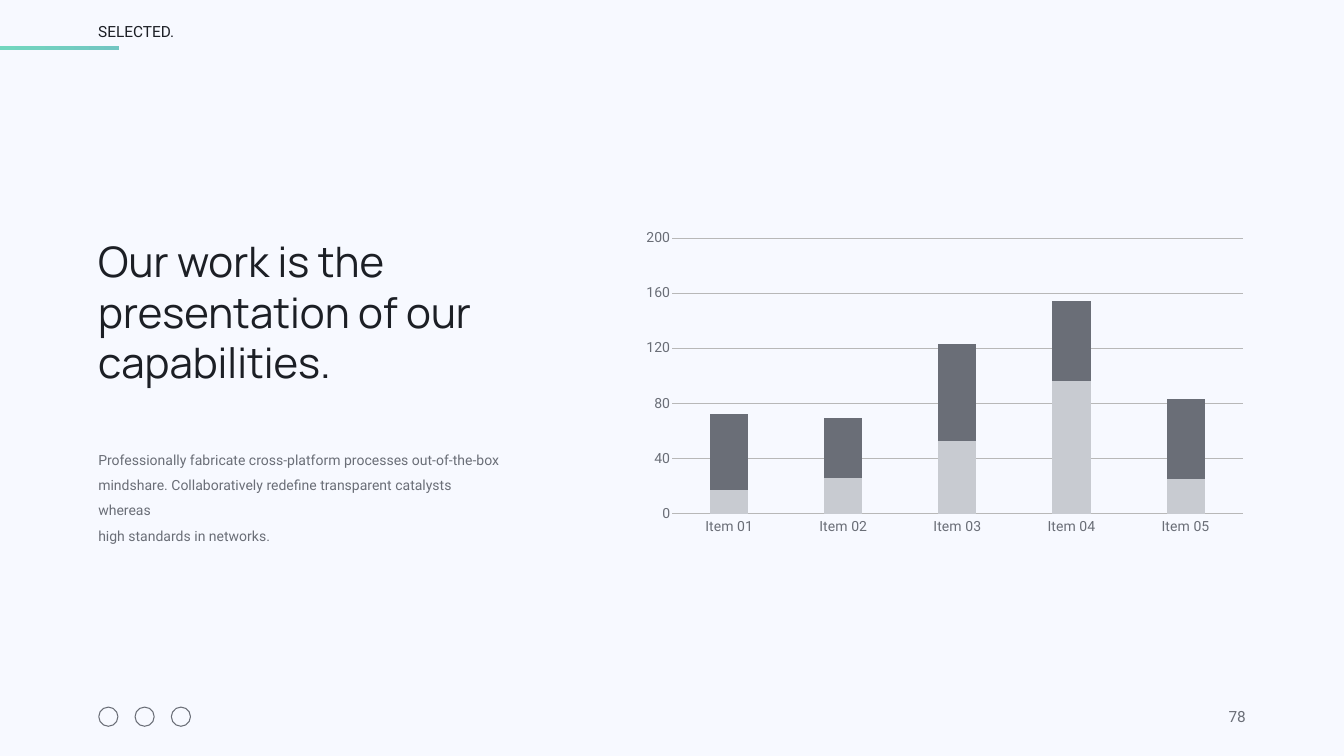
import pptx
import pptx.chart.data
import pptx.dml.color
import pptx.enum.chart
import pptx.enum.shapes
import pptx.enum.text
import pptx.oxml
import pptx.oxml.ns
import pptx.util

Inches = pptx.util.Inches
Pt = pptx.util.Pt
SHAPE = pptx.enum.shapes.MSO_SHAPE
ALIGN = pptx.enum.text.PP_ALIGN
ANCHOR = pptx.enum.text.MSO_ANCHOR

DARK, GRAY, PALE = "1C1F25", "6A6E77", "C8CBD1"
LEFT = 1.95


def color(code):
    return pptx.dml.color.RGBColor.from_string(code)


def style(font, size, code, name="Roboto"):
    font.size = Pt(size)
    font.name = name
    font.color.rgb = color(code)


def add_text(slide, box, lines, size, code, name="Roboto", align=ALIGN.LEFT,
             anchor=ANCHOR.TOP, wrap=False, inset=0, space=None):
    frame = slide.shapes.add_textbox(*map(Inches, box)).text_frame
    frame.word_wrap = wrap
    frame.vertical_anchor = anchor
    frame.margin_left = frame.margin_right = Inches(inset)
    frame.margin_top = frame.margin_bottom = Inches(inset / 2)
    frame.text = "\n".join(lines)
    for para in frame.paragraphs:
        para.alignment = align
        para.line_spacing = space
        for run in para.runs:
            style(run.font, size, code, name)


def add_bar(slide, box, start, end):
    bar = slide.shapes.add_shape(SHAPE.RECTANGLE, *map(Inches, box))
    bar.shadow.inherit = False
    bar.line.fill.background()
    bar.fill.gradient()
    bar.fill.gradient_angle = 0
    for stop, code in zip(bar.fill.gradient_stops, (start, end)):
        stop.color.rgb = color(code)


def add_ring(slide, left, top, size):
    ring = slide.shapes.add_shape(
        SHAPE.OVAL, *map(Inches, (left, top, size, size)))
    ring.shadow.inherit = False
    ring.fill.background()
    ring.line.color.rgb = color(GRAY)
    ring.line.width = Pt(1.5)


def set_plot(chart, x, y, w, h):
    parts = "".join(f'<c:{tag} val="{val}"/>' for tag, val in (
        ("layoutTarget", "inner"), ("xMode", "edge"), ("yMode", "edge"),
        ("x", x), ("y", y), ("w", w), ("h", h)))
    area = chart.plots[0]._element.getparent()
    for old in area.findall(pptx.oxml.ns.qn("c:layout")):
        area.remove(old)
    area.insert(0, pptx.oxml.parse_xml(
        f'<c:layout {pptx.oxml.ns.nsdecls("c")}>'
        f"<c:manualLayout>{parts}</c:manualLayout></c:layout>"))


def add_chart(slide, box, cats, series):
    kinds = pptx.enum.chart
    data = pptx.chart.data.CategoryChartData()
    data.categories = cats
    for name, vals, _ in series:
        data.add_series(name, vals)
    chart = slide.shapes.add_chart(
        kinds.XL_CHART_TYPE.COLUMN_STACKED, *map(Inches, box), data).chart
    chart.has_legend = chart.has_title = False
    style(chart.font, 20, GRAY)

    # Columns
    plot = chart.plots[0]
    plot.gap_width, plot.overlap = 200, 100
    plot.vary_by_categories = False
    for item, (_, _, code) in zip(plot.series, series):
        item.format.fill.solid()
        item.format.fill.fore_color.rgb = color(code)

    # Axes and grid
    for axis in (chart.category_axis, chart.value_axis):
        axis.major_tick_mark = axis.minor_tick_mark = kinds.XL_TICK_MARK.NONE
        axis.format.line.fill.background()
        style(axis.tick_labels.font, 20, GRAY)
    chart.category_axis.tick_label_position = kinds.XL_TICK_LABEL_POSITION.LOW
    scale = chart.value_axis
    scale.minimum_scale, scale.maximum_scale, scale.major_unit = 0, 200, 40
    scale.has_major_gridlines = True
    grid = scale.major_gridlines.format.line
    grid.color.rgb = color("B8B8B8")
    grid.width = Pt(1)
    set_plot(chart, 0.061, 0.056, 0.934, 0.851)


def main():
    deck = pptx.Presentation()
    deck.slide_width, deck.slide_height = Inches(26.67), Inches(15)
    slide = deck.slides.add_slide(deck.slide_layouts[6])
    slide.background.fill.solid()
    slide.background.fill.fore_color.rgb = color("F7F9FF")

    # Footer: plain rings for the social links, page number
    for i in range(3):
        add_ring(slide, LEFT + 0.01 + 0.72 * i, 14.03, 0.38)
    add_text(slide, (23.84, 13.98, 0.98, 0.4), ["78"], 22, GRAY,
             align=ALIGN.RIGHT, wrap=True, inset=0.1)

    # Header
    add_text(slide, (LEFT, 0.43, 1.53, 0.4), ["SELECTED."], 22, DARK)
    add_bar(slide, (0, 0.92, 2.36, 0.07), "72D6BE", "72C6C2")

    # Chart
    add_chart(slide, (12.6, 4.36, 12.12, 6.43),
              [f"Item {n:02}" for n in range(1, 6)],
              [("Series 1", (17, 26, 53, 96, 25), PALE),
               ("Series 2", (55, 43, 70, 58, 58), GRAY)])

    # Heading and body
    add_text(slide, (LEFT, 4.76, 7.43, 2.92),
             ["Our work is the", "presentation of our", "capabilities."],
             60, DARK, "Manrope", anchor=ANCHOR.BOTTOM)
    add_text(slide, (LEFT, 8.79, 8.12, 1.44),
             ["Professionally fabricate cross-platform processes out-of-the-box",
              "mindshare. Collaboratively redefine transparent catalysts whereas",
              "high standards in networks."],
             20, GRAY, wrap=True, space=1.5)

    deck.save("out.pptx")


if __name__ == "__main__":
    main()
